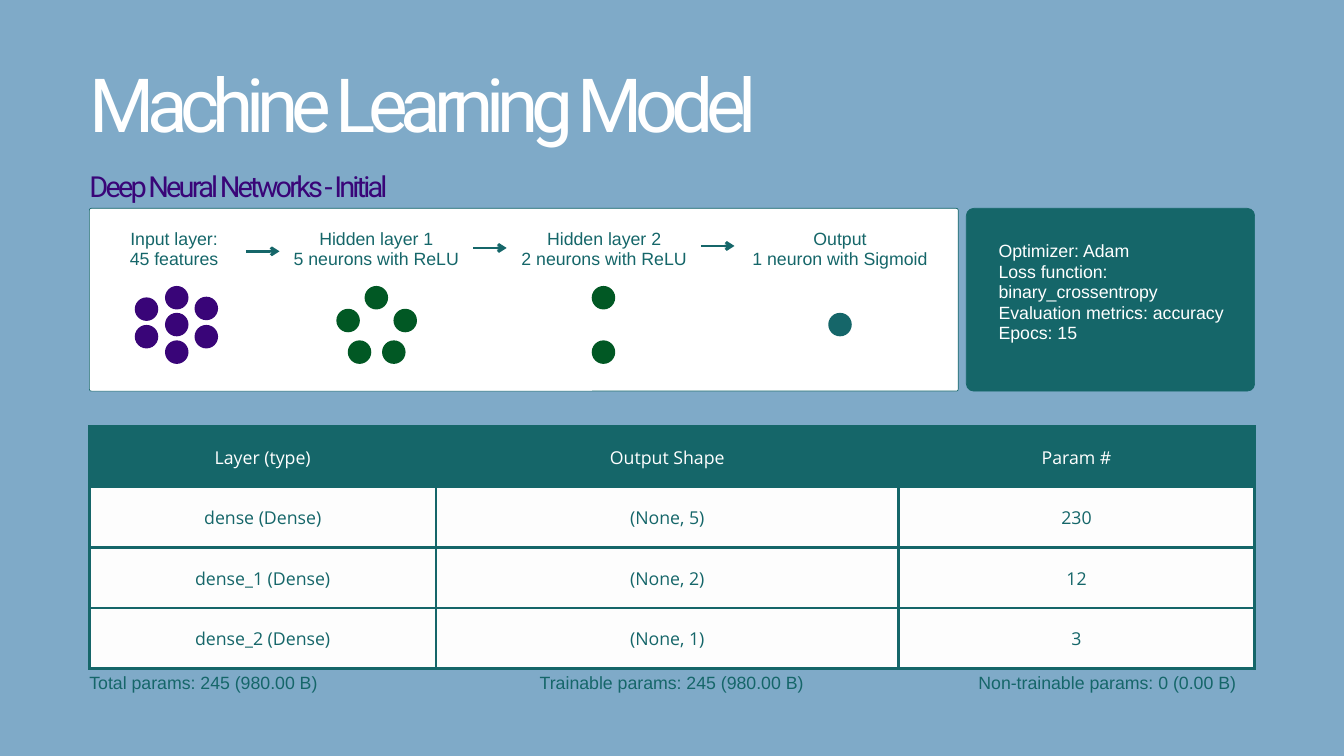
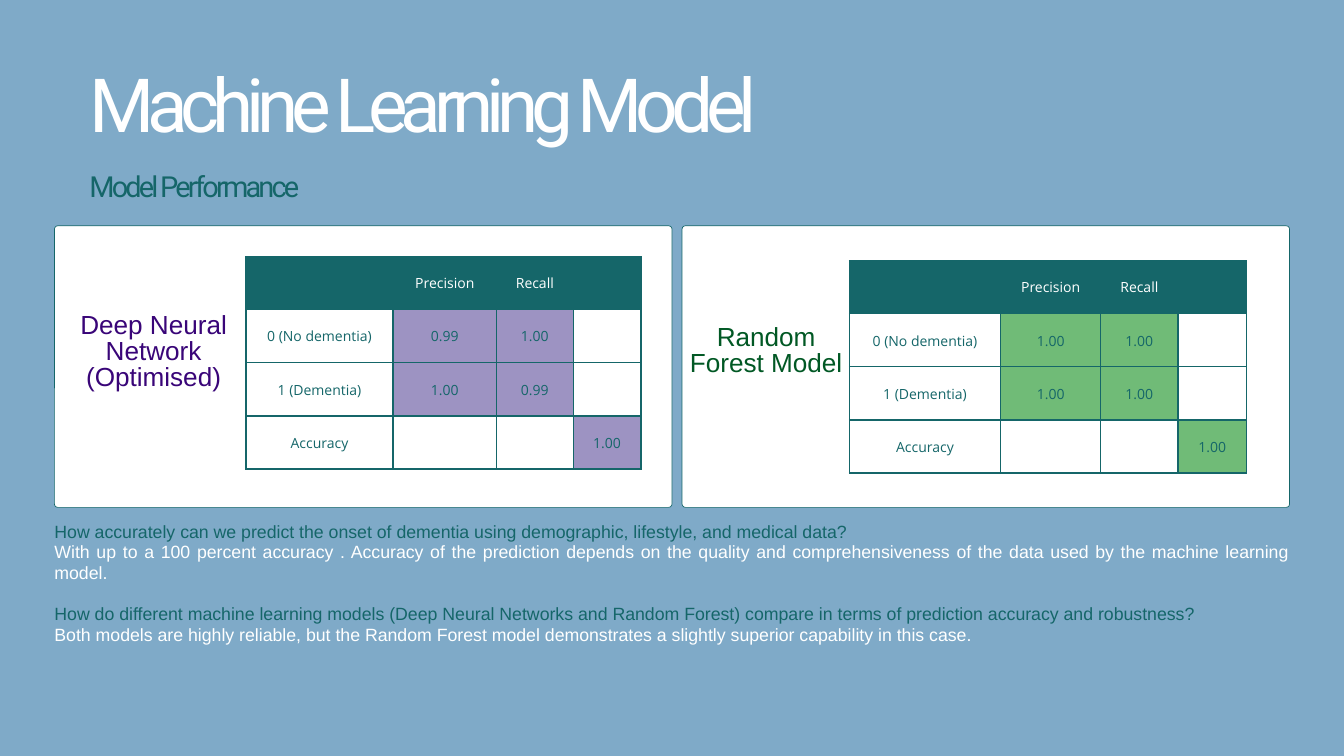
from collections import namedtuple
from dataclasses import dataclass

from lxml.etree import SubElement
from pptx import Presentation
from pptx.dml.color import RGBColor
from pptx.enum.shapes import MSO_CONNECTOR, MSO_SHAPE
from pptx.enum.text import MSO_ANCHOR, PP_ALIGN
from pptx.oxml.ns import qn
from pptx.util import Inches, Pt

Type = namedtuple("Type", "font size leading tracking", defaults=[0])


@dataclass(frozen=True)
class Theme:
    sky: RGBColor = RGBColor.from_string("7FAAC8")
    teal: RGBColor = RGBColor.from_string("156669")
    purple: RGBColor = RGBColor.from_string("390578")
    green: RGBColor = RGBColor.from_string("015824")
    lilac: RGBColor = RGBColor.from_string("9D93C2")
    mint: RGBColor = RGBColor.from_string("70BB77")
    white: RGBColor = RGBColor.from_string("FFFFFF")
    paper: RGBColor = RGBColor.from_string("FDFDFD")
    title: Type = Type("Roboto", 80, 40, -7.7)
    subtitle: Type = Type("Roboto", 31, 29.8, -3)
    body: Type = Type("Arial", 19, 22)
    model: Type = Type("Arial", 28, 28)
    summary: Type = Type("Open Sans", 19, 26.6)
    score: Type = Type("Open Sans", 15, 21)


theme = Theme()


def write(frame, lines, align):
    frame.word_wrap = True
    frame.margin_left = frame.margin_top = frame.margin_right = frame.margin_bottom = 0
    for index, (words, style, color, gap) in enumerate(lines):
        paragraph = frame.paragraphs[0] if index == 0 else frame.add_paragraph()
        paragraph.alignment = align
        paragraph.line_spacing = Pt(style.leading)
        paragraph.space_before = Pt(gap)
        run = paragraph.add_run()
        run.text = words
        run.font.name = style.font
        run.font.size = Pt(style.size)
        run.font.color.rgb = color
        if style.tracking:
            run.font._element.set("spc", str(round(style.tracking * 100)))


def add_grid(slide, left, top, widths, row_height, rows, style, border, fill_rule):
    grid = slide.shapes.add_table(
        len(rows), len(widths), Inches(left), Inches(top),
        Inches(sum(widths)), Inches(row_height * len(rows))).table
    grid.first_row = grid.horz_banding = False
    for column, width in zip(grid.columns, widths):
        column.width = Inches(width)
    for r, row in enumerate(rows):
        grid.rows[r].height = Inches(row_height)
        for c, words in enumerate(row):
            cell = grid.cell(r, c)
            properties = cell._tc.get_or_add_tcPr()
            for side in ("lnL", "lnR", "lnT", "lnB"):
                edge = SubElement(properties, qn(f"a:{side}"), w=str(Pt(border)))
                paint = SubElement(edge, qn("a:solidFill"))
                SubElement(paint, qn("a:srgbClr"), val=str(theme.teal))
            cell.fill.solid()
            cell.fill.fore_color.rgb = theme.teal if r == 0 else fill_rule(c, words)
            if words:
                ink = theme.white if r == 0 else theme.teal
                write(cell.text_frame, [(words, style, ink, 0)], PP_ALIGN.CENTER)
            cell.vertical_anchor = MSO_ANCHOR.MIDDLE
            cell.margin_left = cell.margin_right = Inches(0.21)
            cell.margin_top = cell.margin_bottom = Inches(0.21)


deck = Presentation()
deck.slide_width, deck.slide_height = Inches(20), Inches(11.25)

outlines = [
    ("Deep Neural Networks - Initial", theme.purple, 3.1, 2.72,
     [(1.33, 12.93, theme.white, 0.03), (14.38, 4.29, theme.teal, 0.11)]),
    ("Model Performance", theme.teal, 3.36, 4.19,
     [(0.81, 9.19, theme.white, 0.05), (10.15, 9.04, theme.white, 0.05)]),
]
for subtitle, subtitle_color, card_top, card_height, cards in outlines:
    slide = deck.slides.add_slide(deck.slide_layouts[6])
    slide.background.fill.solid()
    slide.background.fill.fore_color.rgb = theme.sky
    for left, width, color, radius in cards:
        card = slide.shapes.add_shape(
            MSO_SHAPE.ROUNDED_RECTANGLE, Inches(left), Inches(card_top),
            Inches(width), Inches(card_height))
        card.adjustments[0] = radius / card_height
        card.shadow.inherit = False
        card.fill.solid()
        card.fill.fore_color.rgb = color
        card.line.color.rgb = theme.teal
        card.line.width = Pt(0.75)
    heading = slide.shapes.add_textbox(
        Inches(1.33), Inches(1.64), Inches(15.55), Inches(1.23))
    write(heading.text_frame, [
        ("Machine Learning Model", theme.title, theme.white, 0),
        (subtitle, theme.subtitle, subtitle_color, theme.subtitle.leading),
    ], PP_ALIGN.LEFT)

network, performance = deck.slides

neuron_size = 0.35
layers = [
    (1.52, 2.14, ["Input layer:", "45 features"], theme.purple,
     [(2.63, 4.43), (2.63, 4.83), (2.63, 5.24),
      (2.18, 4.6), (2.18, 5.01), (3.07, 4.59), (3.07, 5.01)]),
    (4.03, 3.14, ["Hidden layer 1", "5 neurons with ReLU"], theme.green,
     [(5.6, 4.43), (5.18, 4.77), (6.03, 4.77), (5.35, 5.24), (5.86, 5.24)]),
    (7.42, 3.14, ["Hidden layer 2", "2 neurons with ReLU"], theme.green,
     [(8.98, 4.43), (8.98, 5.24)]),
    (10.93, 3.14, ["Output", "1 neuron with Sigmoid"], theme.teal, [(12.5, 4.83)]),
]
for left, width, label_lines, color, neurons in layers:
    label = network.shapes.add_textbox(
        Inches(left), Inches(3.4), Inches(width), Inches(0.67))
    write(label.text_frame, [(words, theme.body, theme.teal, 0) for words in label_lines],
          PP_ALIGN.CENTER)
    for x, y in neurons:
        neuron = network.shapes.add_shape(
            MSO_SHAPE.OVAL, Inches(x - neuron_size / 2), Inches(y - neuron_size / 2),
            Inches(neuron_size), Inches(neuron_size))
        neuron.shadow.inherit = False
        neuron.fill.solid()
        neuron.fill.fore_color.rgb = color
        neuron.line.fill.background()

for x, y in [(3.66, 3.74), (7.04, 3.69), (10.43, 3.66)]:
    arrow = network.shapes.add_connector(
        MSO_CONNECTOR.STRAIGHT, Inches(x), Inches(y), Inches(x + 0.5), Inches(y))
    arrow.line.color.rgb = theme.teal
    arrow.line.width = Pt(3)
    SubElement(arrow.line._get_or_add_ln(), qn("a:tailEnd"), type="arrow")
    SubElement(arrow._element.spPr, qn("a:effectLst"))

settings = network.shapes.add_textbox(Inches(14.86), Inches(3.58), Inches(3.5), Inches(1.88))
write(settings.text_frame, [(words, theme.body, theme.white, 0) for words in (
    "Optimizer: Adam",
    "Loss function: binary_crossentropy",
    "Evaluation metrics: accuracy",
    "Epocs: 15",
)], PP_ALIGN.LEFT)

add_grid(network, 1.33, 6.35, [5.16, 6.88, 5.3], 0.9, [
    ["Layer (type)", "Output Shape", "Param #"],
    ["dense (Dense)", "(None, 5)", "230"],
    ["dense_1 (Dense)", "(None, 2)", "12"],
    ["dense_2 (Dense)", "(None, 1)", "3"],
], theme.summary, 3, lambda column, words: theme.paper)

for left, width, words, align in [
    (1.33, 5.41, "Total params: 245 (980.00 B)", PP_ALIGN.JUSTIFY),
    (7.29, 5.41, "Trainable params: 245 (980.00 B)", PP_ALIGN.CENTER),
    (14.56, 4.11, "Non-trainable params: 0 (0.00 B)", PP_ALIGN.JUSTIFY),
]:
    total = network.shapes.add_textbox(
        Inches(left), Inches(10.01), Inches(width), Inches(0.36))
    write(total.text_frame, [(words, theme.body, theme.teal, 0)], align)

models = [
    ("Deep Neural Network (Optimised)", theme.purple, theme.lilac, (1.18, 4.66, 2.21, 1.65),
     (3.66, 3.82), [2.19, 1.54, 1.14, 1.01], ["0.99", "1.00"], ["1.00", "0.99"]),
    ("Random Forest Model", theme.green, theme.mint, (10.16, 4.85, 2.48, 1.27),
     (12.64, 3.88), [2.25, 1.49, 1.15, 1.02], ["1.00", "1.00"], ["1.00", "1.00"]),
]
for name, color, tint, name_box, corner, widths, healthy, dementia in models:
    model_name = performance.shapes.add_textbox(*map(Inches, name_box))
    write(model_name.text_frame, [(name, theme.model, color, 0)], PP_ALIGN.CENTER)
    add_grid(performance, *corner, widths, 0.79, [
        ["", "Precision", "Recall", ""],
        ["0 (No dementia)", *healthy, ""],
        ["1 (Dementia)", *dementia, ""],
        ["Accuracy", "", "", "1.00"],
    ], theme.score, 1.5,
        lambda column, words: tint if column and words else theme.white)

answers = performance.shapes.add_textbox(
    Inches(0.81), Inches(7.76), Inches(18.38), Inches(2.18))
write(answers.text_frame, [
    ("How accurately can we predict the onset of dementia using demographic, "
     "lifestyle, and medical data?", theme.body, theme.teal, 0),
    ("With up to a 100 percent accuracy . Accuracy of the prediction depends on the "
     "quality and comprehensiveness of the data used by the machine learning model.",
     theme.body, theme.white, 0),
    ("How do different machine learning models (Deep Neural Networks and Random Forest) "
     "compare in terms of prediction accuracy and robustness?",
     theme.body, theme.teal, theme.body.leading),
    ("Both models are highly reliable, but the Random Forest model demonstrates a "
     "slightly superior capability in this case.", theme.body, theme.white, 0),
], PP_ALIGN.JUSTIFY)

deck.save("out.pptx")
